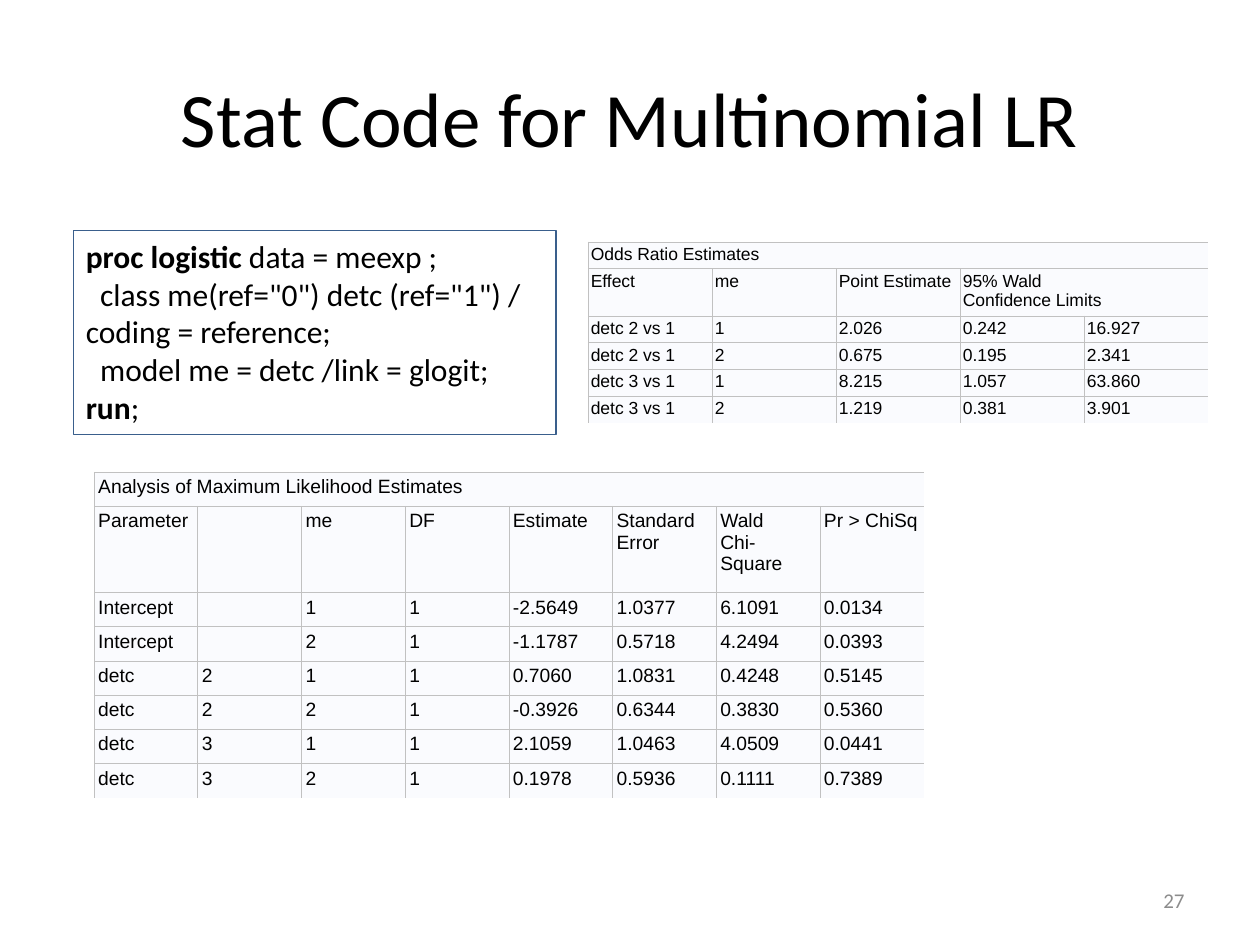
from dataclasses import dataclass

from lxml.etree import SubElement
from pptx import Presentation
from pptx.dml.color import RGBColor
from pptx.enum.shapes import MSO_SHAPE
from pptx.enum.text import MSO_ANCHOR as Anchor, PP_ALIGN as Align
from pptx.oxml.ns import qn
from pptx.util import Cm, Pt

BLACK = RGBColor(0x00, 0x00, 0x00)
GRAY = RGBColor(0x8C, 0x8C, 0x8C)
BOX_LINE = RGBColor(0x3A, 0x5F, 0x8C)
CELL_FILL = RGBColor(0xFA, 0xFB, 0xFE)
GRID = RGBColor(0xC1, 0xC1, 0xC1)


@dataclass
class Label:
    text: str
    left: float
    top: float
    width: float
    height: float
    size: int
    align: Align
    color: RGBColor


@dataclass
class Grid:
    left: float
    top: float
    col_width: float
    row_height: float
    header_height: float
    inset: float
    size: int
    rows: list[list[str]]
    merges: list[tuple[int, int, int]]  # row, first column, last column


def set_font(p, name: str, size: int, color: RGBColor) -> None:
    p.font.name, p.font.size = name, Pt(size)
    p.font.color.rgb = color


def add_label(s, label: Label) -> None:
    box = s.shapes.add_textbox(Cm(label.left), Cm(label.top), Cm(label.width), Cm(label.height))
    tf = box.text_frame
    tf.word_wrap, tf.vertical_anchor = True, Anchor.MIDDLE
    p = tf.paragraphs[0]
    p.text, p.alignment = label.text, label.align
    set_font(p, "Calibri", label.size, label.color)


def set_borders(cell, sides: dict[str, bool]) -> None:
    tc_pr = cell._tc.get_or_add_tcPr()
    for i, (side, visible) in enumerate(sides.items()):
        ln = SubElement(tc_pr, qn(f"a:ln{side}"), w=str(Pt(0.6)))
        if visible:
            SubElement(SubElement(ln, qn("a:solidFill")), qn("a:srgbClr"), val=str(GRID))
        else:
            SubElement(ln, qn("a:noFill"))
        tc_pr.insert(i, ln)  # borders come before the fill


def add_grid(s, g: Grid) -> None:
    n_rows, n_cols = len(g.rows), max(map(len, g.rows))
    height = (n_rows - 1) * g.row_height + g.header_height
    table = s.shapes.add_table(n_rows, n_cols, Cm(g.left), Cm(g.top),
                               Cm(n_cols * g.col_width), Cm(height)).table
    table.first_row = table.horz_banding = False
    for col in table.columns:
        col.width = Cm(g.col_width)
    for i, row in enumerate(table.rows):
        row.height = Cm(g.header_height if i == 1 else g.row_height)
    for row, first, last in g.merges:
        table.cell(row, first).merge(table.cell(row, last))

    for i in range(n_rows):
        for j in range(n_cols):
            cell = table.cell(i, j)
            cell.fill.solid()
            cell.fill.fore_color.rgb = CELL_FILL
            cell.margin_left = cell.margin_right = Cm(g.inset)
            cell.margin_top = cell.margin_bottom = Cm(g.inset)
            p = cell.text_frame.paragraphs[0]
            if j < len(g.rows[i]) and g.rows[i][j]:
                p.text = g.rows[i][j]
            else:
                SubElement(p._p, qn("a:endParaRPr"), sz=str(g.size * 100))
            set_font(p, "Arial", g.size, BLACK)
            span = cell.span_width if cell.is_merge_origin else 1
            own = not cell.is_spanned
            set_borders(cell, {"L": own, "R": own and j + span < n_cols,
                               "T": True, "B": i < n_rows - 1})


def add_code_box(s, lines: list[tuple[str, str, bool]]) -> None:
    sp = s.shapes.add_shape(MSO_SHAPE.RECTANGLE, Cm(1.48), Cm(4.65), Cm(9.73), Cm(4.11))
    sp.shadow.inherit = False
    sp.fill.background()
    sp.line.color.rgb, sp.line.width = BOX_LINE, Pt(0.75)
    tf = sp.text_frame
    tf.word_wrap, tf.vertical_anchor = True, Anchor.TOP
    for i, (keyword, rest, indented) in enumerate(lines):
        p = tf.add_paragraph() if i else tf.paragraphs[0]
        p.alignment = Align.LEFT
        set_font(p, "Calibri", 18, BLACK)
        if indented:
            p._p.get_or_add_pPr().set("indent", str(Cm(0.29)))
        for text, bold in ((keyword, True), (rest, False)):
            if text:
                r = p.add_run()
                r.text, r.font.bold = text, bold
                r.font.color.rgb = BLACK


LABELS = [
    Label("Stat Code for Multinomial LR", 1.27, 0.76, 22.86, 3.18, 44, Align.CENTER, BLACK),
    Label("27", 18.2, 17.65, 5.93, 1.01, 12, Align.RIGHT, GRAY),
]

CODE = [  # keyword, rest of the line, indented
    ("proc logistic", " data = meexp ;", False),
    ("", 'class me(ref="0") detc (ref="1") / coding = reference;', True),
    ("", "model me = detc /link = glogit;", True),
    ("run", ";", False),
]

GRIDS = [
    Grid(1.9, 9.52, 2.09, 0.69, 1.74, 0.08, 11, [
        ["Analysis of Maximum Likelihood Estimates"],
        ["Parameter", "", "me", "DF", "Estimate", "Standard\nError", "Wald\nChi-Square", "Pr > ChiSq"],
        ["Intercept", "", "1", "1", "-2.5649", "1.0377", "6.1091", "0.0134"],
        ["Intercept", "", "2", "1", "-1.1787", "0.5718", "4.2494", "0.0393"],
        ["detc", "2", "1", "1", "0.7060", "1.0831", "0.4248", "0.5145"],
        ["detc", "2", "2", "1", "-0.3926", "0.6344", "0.3830", "0.5360"],
        ["detc", "3", "1", "1", "2.1059", "1.0463", "4.0509", "0.0441"],
        ["detc", "3", "2", "1", "0.1978", "0.5936", "0.1111", "0.7389"],
    ], [(0, 0, 7)]),
    Grid(11.86, 4.88, 2.5, 0.54, 0.95, 0.05, 10, [
        ["Odds Ratio Estimates"],
        ["Effect", "me", "Point Estimate", "95% Wald\nConfidence Limits"],
        ["detc 2 vs 1", "1", "2.026", "0.242", "16.927"],
        ["detc 2 vs 1", "2", "0.675", "0.195", "2.341"],
        ["detc 3 vs 1", "1", "8.215", "1.057", "63.860"],
        ["detc 3 vs 1", "2", "1.219", "0.381", "3.901"],
    ], [(0, 0, 4), (1, 3, 4)]),
]


def main() -> None:
    prs = Presentation()
    prs.slide_width, prs.slide_height = Cm(25.4), Cm(19.05)
    s = prs.slides.add_slide(prs.slide_layouts[6])

    # Title and slide number
    for label in LABELS:
        add_label(s, label)

    # Model code
    add_code_box(s, CODE)

    # Result tables
    for grid in GRIDS:
        add_grid(s, grid)

    prs.save("out.pptx")


if __name__ == "__main__":
    main()
